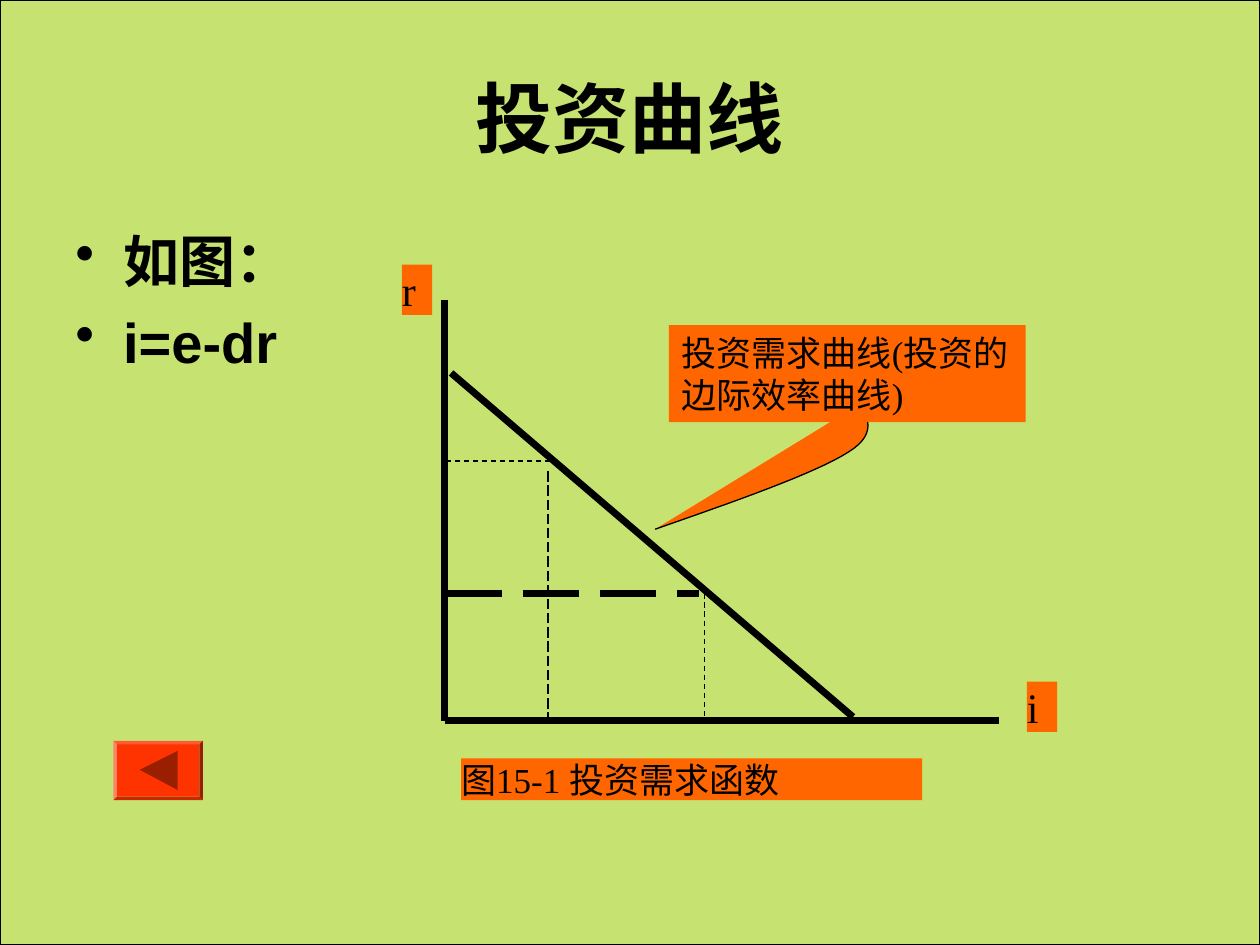
from lxml import etree
from pptx import Presentation
from pptx.dml.color import RGBColor
from pptx.enum.dml import MSO_LINE
from pptx.enum.shapes import MSO_CONNECTOR, MSO_SHAPE
from pptx.enum.text import MSO_ANCHOR, PP_ALIGN
from pptx.oxml.ns import qn
from pptx.util import Inches, Pt

RECTANGLE, BEVEL = MSO_SHAPE.RECTANGLE, MSO_SHAPE.BEVEL
STRAIGHT = MSO_CONNECTOR.STRAIGHT
DASH, LONG_DASH = MSO_LINE.DASH, MSO_LINE.LONG_DASH
CENTER, LEFT = PP_ALIGN.CENTER, PP_ALIGN.LEFT
TOP, MIDDLE = MSO_ANCHOR.TOP, MSO_ANCHOR.MIDDLE


def color(hex_text):
    return RGBColor.from_string(hex_text)


def bezier(start, control_1, control_2, end, steps=16):
    """Return points along a cubic curve, without its start."""
    points = []
    for step in range(1, steps + 1):
        t = step / steps
        u = 1 - t
        weights = (u ** 3, 3 * u * u * t, 3 * u * t * t, t ** 3)
        corners = (start, control_1, control_2, end)
        points.append(tuple(
            sum(w * corner[axis] for w, corner in zip(weights, corners))
            for axis in (0, 1)))
    return points


def add_bullet(para):
    """Give the paragraph a hanging round bullet."""
    props = para._p.get_or_add_pPr()
    props.set("marL", str(Inches(0.38)))
    props.set("indent", str(-Inches(0.38)))
    etree.SubElement(props, qn("a:buChar")).set("char", "•")


def write(frame, lines, size, font="Times New Roman", bold=False,
          align=LEFT, anchor=TOP, margins=(0.1, 0.05), bullets=False, gap=0):
    """Fill a text frame with one paragraph per line."""
    frame.word_wrap = True
    frame.vertical_anchor = anchor
    frame.margin_left = frame.margin_right = Inches(margins[0])
    frame.margin_top = frame.margin_bottom = Inches(margins[1])
    for index, line in enumerate(lines):
        para = frame.add_paragraph() if index else frame.paragraphs[0]
        if bullets:
            add_bullet(para)
        para.alignment = align
        if index:
            para.space_before = Pt(gap)
        span = para.add_run()
        span.text = line
        span.font.size = Pt(size)
        span.font.name = font
        span.font.bold = bold
        span.font.color.rgb = color(Painter.INK)


class Painter:
    """Holds the style and the current slide."""
    INK = "000000"
    GROUND = "C6E270"
    LABEL = "FF6600"
    BUTTON = "FF3300"
    BUTTON_ARROW = "991F00"
    THICK, THIN = 4, 0.75

    def __init__(self, page):
        self.shapes = page.shapes

    def finish(self, shape, fill, outline=None):
        shape.shadow.inherit = False
        shape.fill.solid()
        shape.fill.fore_color.rgb = color(fill)
        if outline:
            shape.line.color.rgb = color(outline)
            shape.line.width = Pt(self.THIN)
        else:
            shape.line.fill.background()
        return shape

    def shape(self, kind, at, fill, outline=None):
        shape = self.shapes.add_shape(kind, *map(Inches, at))
        return self.finish(shape, fill, outline)

    def text(self, at, lines, size, **style):
        box = self.shapes.add_textbox(*map(Inches, at))
        write(box.text_frame, lines, size, **style)

    def label(self, at, text, size, margins=(0, 0)):
        box = self.shape(RECTANGLE, at, self.LABEL)
        write(box.text_frame, [text], size, margins=margins)

    def line(self, start, end, width=THICK, dash=None):
        line = self.shapes.add_connector(STRAIGHT, *map(Inches, start + end))
        line.line.color.rgb = color(self.INK)
        line.line.width = Pt(width)
        if dash:
            line.line.dash_style = dash
        etree.SubElement(line._element.spPr, qn("a:effectLst"))

    def outline(self, points, fill, outline=None, close=True):
        corners = [(Inches(x), Inches(y)) for x, y in points]
        builder = self.shapes.build_freeform(*corners[0])
        builder.add_line_segments(corners[1:], close=close)
        return self.finish(builder.convert_to_shape(), fill, outline)


def main():
    deck = Presentation()
    deck.slide_width, deck.slide_height = Inches(10), Inches(7.5)
    page = deck.slides.add_slide(deck.slide_layouts[6])
    painter = Painter(page)

    painter.shape(RECTANGLE, (0, 0, 10, 7.5), painter.GROUND, painter.INK)
    painter.text((0.5, 0.3, 9, 1.25), ["投资曲线"], 44, font="Arial",
                 bold=True, align=CENTER, anchor=MIDDLE)
    painter.text((0.5, 1.75, 9, 4.95), ["如图：", "i=e-dr"], 32, font="Arial",
                 bold=True, bullets=True, gap=8)

    # Axes and demand curve
    origin = (3.53, 5.72)
    painter.line((3.53, 2.38), origin)
    painter.line(origin, (7.93, 5.72))
    painter.label((3.19, 2.1, 0.24, 0.4), "r", 24)
    painter.label((8.15, 5.41, 0.24, 0.4), "i", 24)
    painter.line((3.58, 2.96), (6.77, 5.69))
    painter.label((3.66, 6.02, 3.66, 0.33), "图15-1 投资需求函数", 20)

    # Guides from the curve to the axes
    painter.line((3.54, 3.66), (4.37, 3.66), painter.THIN, DASH)
    painter.line((4.35, 3.74), (4.35, 5.76), painter.THIN, LONG_DASH)
    painter.line((3.54, 4.71), (5.55, 4.71), dash=LONG_DASH)
    painter.line((5.59, 4.71), (5.59, 5.72), painter.THIN, DASH)

    # Callout
    tip, bend, root = (5.2, 4.2), (6.73, 3.59), (6.85, 3.19)
    pointer = [tip]
    pointer += bezier(tip, (5.83, 3.98), (6.46, 3.76), bend)
    pointer += bezier(bend, (7.01, 3.42), (6.83, 3.27), root)
    painter.outline(pointer, painter.LABEL, painter.INK, close=False)
    painter.label((5.31, 2.58, 2.83, 0.77),
                  "投资需求曲线(投资的边际效率曲线)", 20, margins=(0.1, 0.05))

    # Back button
    button = painter.shape(BEVEL, (0.9, 5.88, 0.71, 0.47), painter.BUTTON)
    button.adjustments[0] = 0.06
    painter.outline([(1.11, 6.11), (1.41, 5.96), (1.41, 6.27)],
                    painter.BUTTON_ARROW)

    deck.save("out.pptx")


if __name__ == "__main__":
    main()
